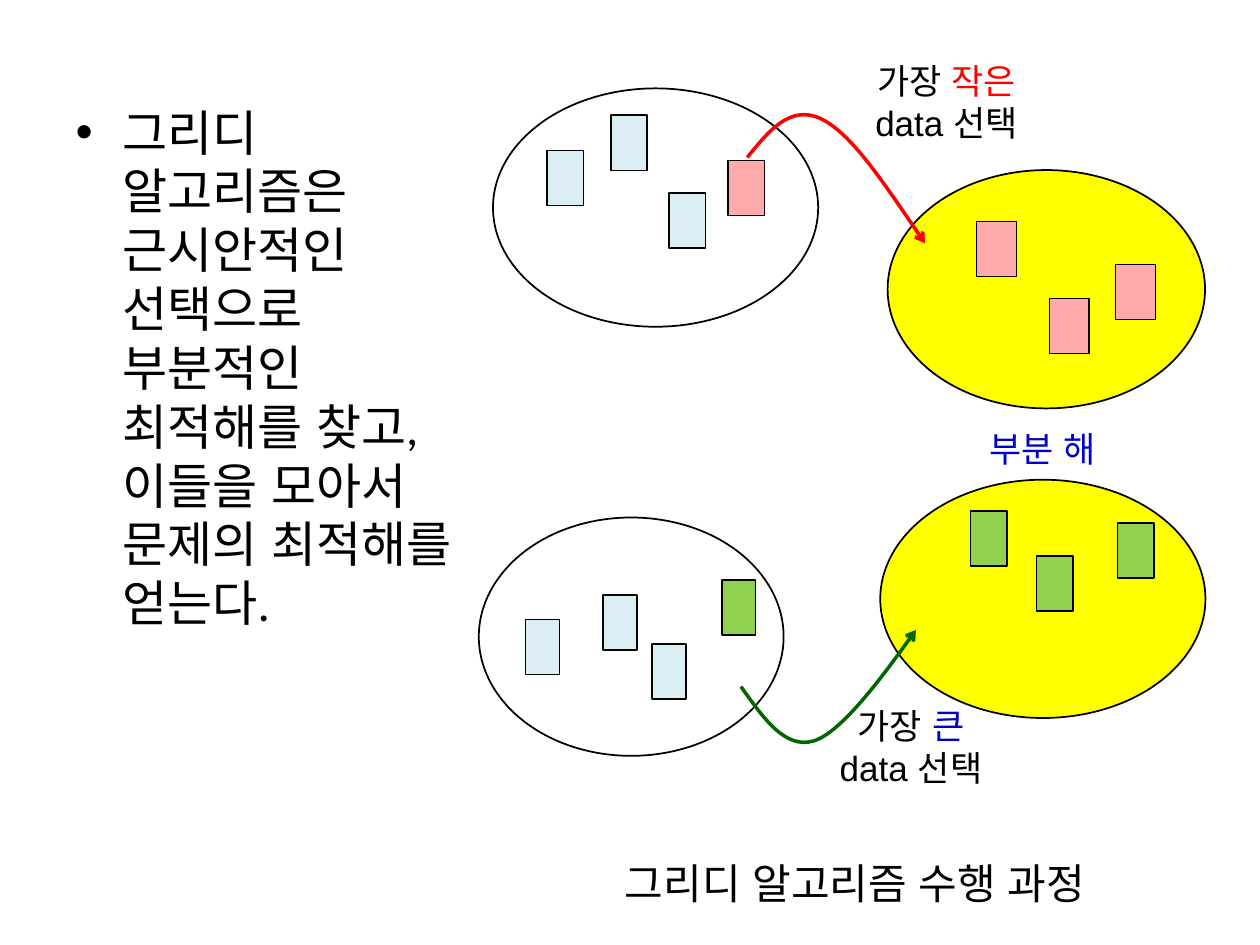
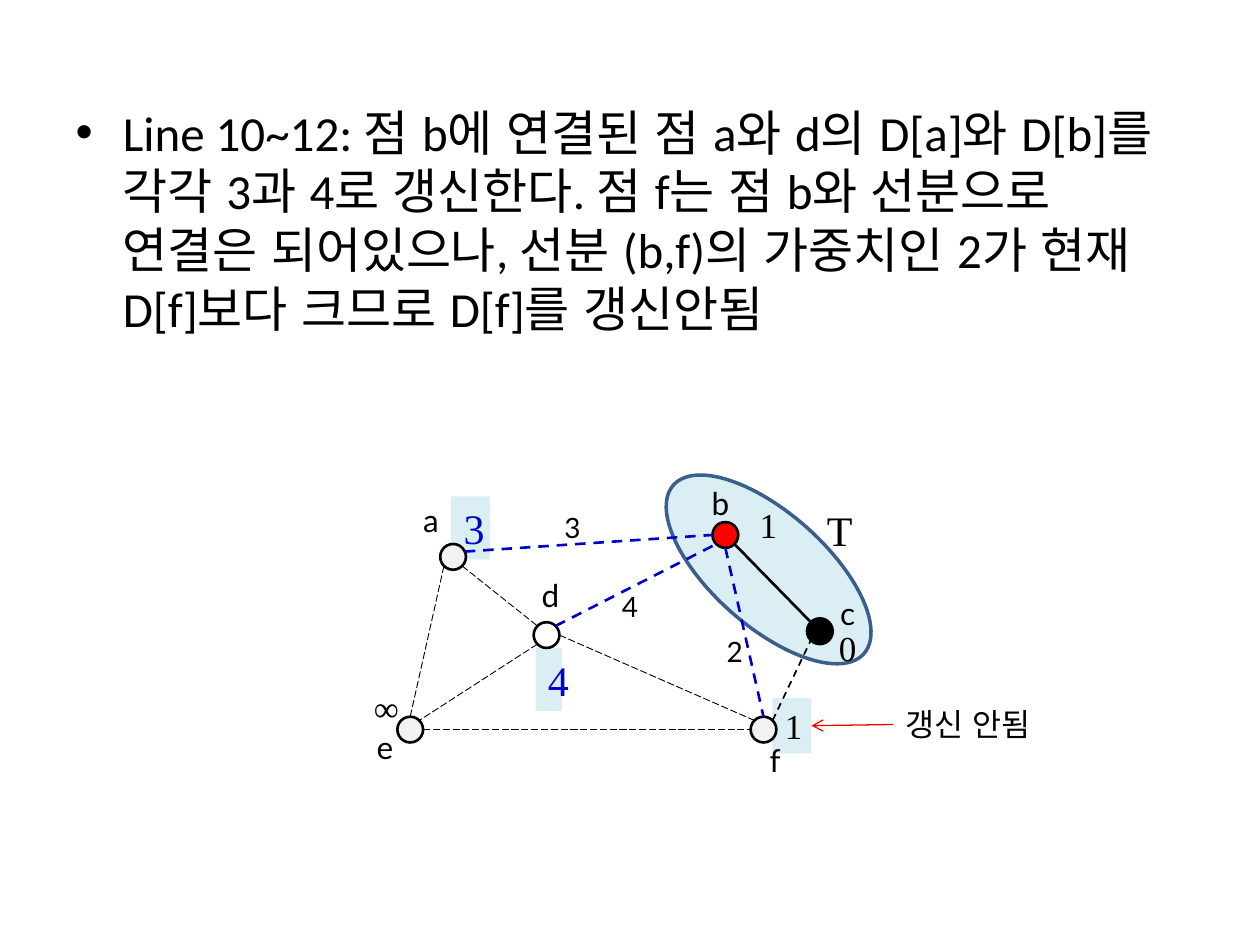
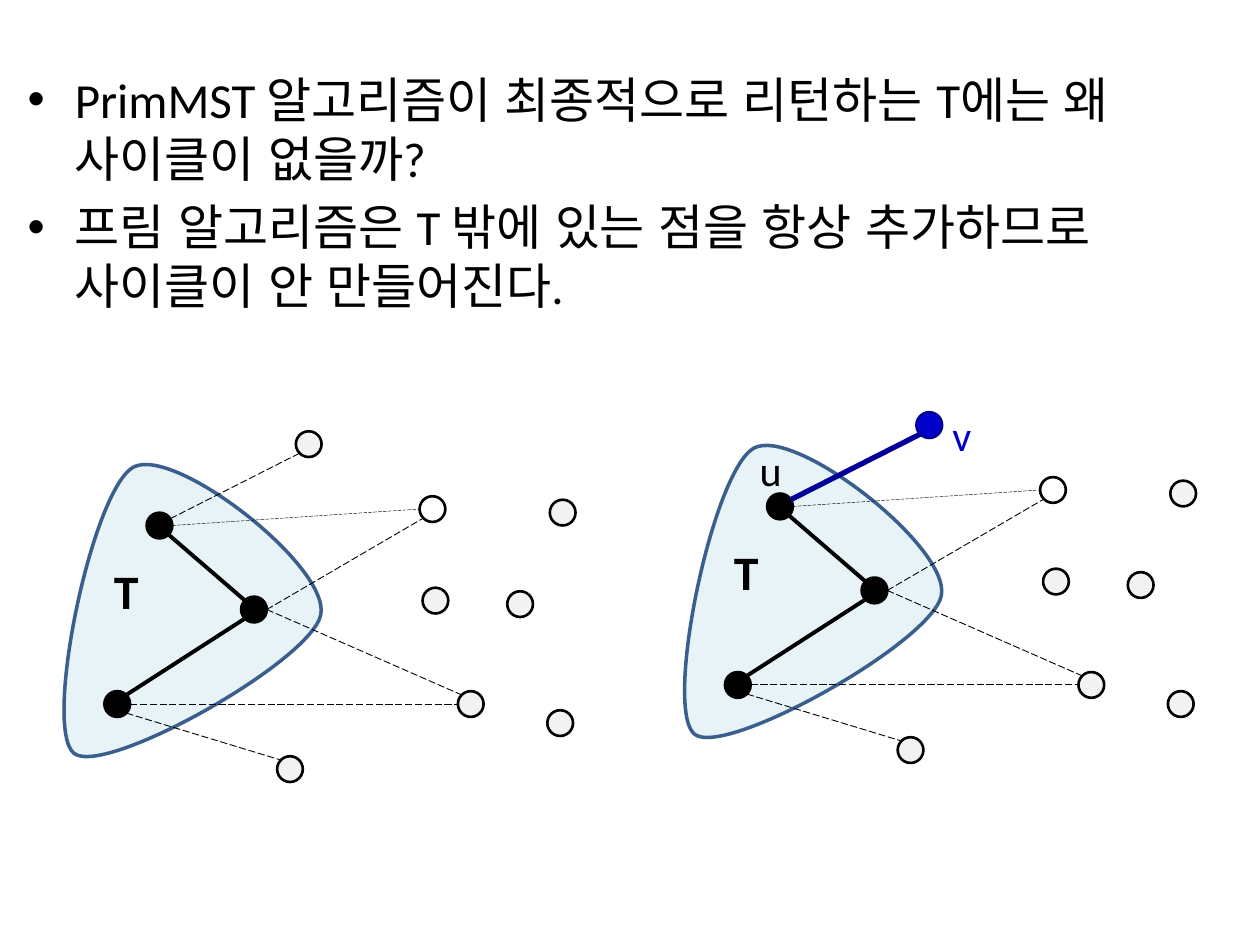
import math
from dataclasses import dataclass

from pptx import Presentation
from pptx.dml.color import RGBColor
from pptx.enum.dml import MSO_LINE
from pptx.enum.shapes import MSO_CONNECTOR, MSO_SHAPE
from pptx.enum.text import PP_ALIGN
from pptx.oxml.ns import qn
from pptx.util import Pt
from lxml import etree

OVAL, RECTANGLE = MSO_SHAPE.OVAL, MSO_SHAPE.RECTANGLE
STRAIGHT = MSO_CONNECTOR.STRAIGHT
DASH, LONG_DASH = MSO_LINE.DASH, MSO_LINE.LONG_DASH
LEFT, CENTER = PP_ALIGN.LEFT, PP_ALIGN.CENTER
BULLET_LAYOUT = 1

# Directions on a node's rim, in degrees anticlockwise from the right
E, NE, N, NW, W, SW, S, SE = range(0, 360, 45)


@dataclass(frozen=True)
class Theme:
    black: str = "000000"
    white: str = "FFFFFF"
    gray: str = "F2F2F2"
    blue: str = "0000CC"
    navy: str = "000099"
    red: str = "FF0000"
    green: str = "92D050"
    dark_green: str = "006600"
    yellow: str = "FFFF00"
    pink: str = "FFABAB"
    pale_blue: str = "DBEEF4"
    outline: str = "3A5F8C"
    body_font: str = "Calibri"
    diagram_font: str = "Arial"
    korean_font: str = "Arial"
    node_font: str = "Lato"
    value_font: str = "Times New Roman"
    tree_font: str = "Noto Sans CJK KR"
    body_size: float = 28
    large: float = 24
    medium: float = 20
    small: float = 18
    tiny: float = 16
    node_diameter: float = 14.7
    card_height: float = 31.5
    oval_height: float = 136.2


THEME = Theme()


def curve_points(start, segments, steps=24):
    """Return points along a chain of cubic curves (control, control, end)."""
    points = [start]
    for control_1, control_2, end in segments:
        for step in range(1, steps + 1):
            t = step / steps
            weights = ((1 - t) ** 3, 3 * t * (1 - t) ** 2, 3 * t * t * (1 - t), t ** 3)
            corners = (start, control_1, control_2, end)
            points.append(tuple(sum(w * corner[axis] for w, corner in zip(weights, corners))
                                for axis in (0, 1)))
        start = end
    return points


def rim_point(center, angle):
    radius, radians = THEME.node_diameter / 2, math.radians(angle)
    return center[0] + radius * math.cos(radians), center[1] - radius * math.sin(radians)


class Deck:
    def __init__(self, theme):
        self.theme = theme
        self.presentation = Presentation()
        self.presentation.slide_width = Pt(720)
        self.presentation.slide_height = Pt(540)
        self.slide = None

    def add_slide(self, bullets, left, top, width, height):
        layout = self.presentation.slide_layouts[BULLET_LAYOUT]
        self.slide = self.presentation.slides.add_slide(layout)
        title = self.slide.shapes.title.element
        title.getparent().remove(title)
        body = self.slide.placeholders[1]
        body.left, body.top, body.width, body.height = map(Pt, (left, top, width, height))
        body.text_frame.text = "\n".join(bullets)
        for paragraph in body.text_frame.paragraphs:
            self.style_font(paragraph.font, self.theme.body_size,
                            self.theme.body_font, self.theme.black)

    def style_font(self, font, size, name, color, bold=False):
        font.size, font.name, font.bold = Pt(size), name, bold
        font.color.rgb = RGBColor.from_string(color)
        etree.SubElement(font._rPr, qn("a:ea"), typeface=self.theme.korean_font)

    def style_line(self, line, color, weight, dash=None):
        line.color.rgb = RGBColor.from_string(color)
        line.width = Pt(weight)
        if dash:
            line.dash_style = dash

    def style_shape(self, shape, fill, line, weight):
        shape.shadow.inherit = False
        if fill:
            shape.fill.solid()
            shape.fill.fore_color.rgb = RGBColor.from_string(fill)
        else:
            shape.fill.background()
        if line:
            self.style_line(shape.line, line, weight)
        else:
            shape.line.fill.background()

    def add_arrowhead(self, line):
        etree.SubElement(line._get_or_add_ln(), qn("a:tailEnd"), type="arrow")

    def shape(self, kind, left, top, width, height, fill=None, line=None, weight=1, rotation=0):
        shape = self.slide.shapes.add_shape(kind, Pt(left), Pt(top), Pt(width), Pt(height))
        self.style_shape(shape, fill, line, weight)
        shape.rotation = rotation
        return shape

    def fill_text(self, shape, text, size, font, color, align, bold=False, wrap=True):
        frame = shape.text_frame
        frame.word_wrap = wrap
        frame.text = text
        paragraph = frame.paragraphs[0]
        paragraph.alignment = align
        self.style_font(paragraph.font, size, font, color, bold)

    def text(self, text, left, top, width, height, size, font, color=THEME.black,
             align=CENTER, bold=False, wrap=True):
        box = self.slide.shapes.add_textbox(Pt(left), Pt(top), Pt(width), Pt(height))
        self.fill_text(box, text, size, font, color, align, bold, wrap)
        return box

    def highlighted_value(self, text, left, top, width, height, size, color):
        shape = self.shape(RECTANGLE, left, top, width, height, self.theme.pale_blue)
        self.fill_text(shape, text, size, self.theme.value_font, color, CENTER)

    def choice_label(self, word, color, left, top):
        box = self.text("가장 ", left, top, 118.8, 55.4,
                        self.theme.medium, self.theme.diagram_font)
        first = box.text_frame.paragraphs[0]
        run = first.add_run()
        run.text = word
        run.font.color.rgb = RGBColor.from_string(color)
        second = box.text_frame.add_paragraph()
        second.text = "data 선택"
        second.alignment = CENTER
        self.style_font(second.font, self.theme.medium, self.theme.diagram_font, self.theme.black)

    def data_set(self, left, top, width, fill, cards, card_width, card_weight=1):
        """Draw an oval holding cards given as (left, top, colour)."""
        theme = self.theme
        self.shape(OVAL, left, top, width, theme.oval_height, fill, theme.black)
        for card_left, card_top, color in cards:
            self.shape(RECTANGLE, card_left, card_top, card_width, theme.card_height,
                       color, theme.black, card_weight)

    def node(self, center, fill, line=THEME.black):
        diameter = self.theme.node_diameter
        self.shape(OVAL, center[0] - diameter / 2, center[1] - diameter / 2,
                   diameter, diameter, fill, line, 1.5)

    def line(self, start, end, color=THEME.black, weight=0.5, dash=None, arrow=False):
        connector = self.slide.shapes.add_connector(STRAIGHT, *map(Pt, (*start, *end)))
        self.style_line(connector.line, color, weight, dash)
        if arrow:
            self.add_arrowhead(connector.line)
        etree.SubElement(connector._element.spPr, qn("a:effectLst"))

    def edge(self, start, start_angle, end, end_angle, color=THEME.black, weight=0.5,
             dash=LONG_DASH):
        self.line(rim_point(start, start_angle), rim_point(end, end_angle), color, weight, dash)

    def curve(self, start, segments, color, fill=None, opacity=None, arrow=False):
        """Size a freeform to the curve, then give it cubic segments."""
        points = [(Pt(x), Pt(y)) for x, y in curve_points(start, segments)]
        builder = self.slide.shapes.build_freeform(*points[0])
        builder.add_line_segments(points[1:], close=False)
        shape = builder.convert_to_shape()
        outline = next(shape._element.iter(qn("a:path")))
        for straight in outline.findall(qn("a:lnTo")):
            outline.remove(straight)
        for segment in segments:
            cubic = etree.SubElement(outline, qn("a:cubicBezTo"))
            for x, y in segment:
                etree.SubElement(cubic, qn("a:pt"), x=str(Pt(x) - shape.left),
                                 y=str(Pt(y) - shape.top))
        if fill:
            etree.SubElement(outline, qn("a:close"))
        self.style_shape(shape, fill, color, 2)
        if opacity:
            color_element = shape._element.spPr.find(qn("a:solidFill"))[0]
            etree.SubElement(color_element, qn("a:alpha"), val=str(opacity * 1000))
        if arrow:
            self.add_arrowhead(shape.line)


def build_greedy_slide(deck):
    theme = deck.theme
    deck.add_slide(["그리디 알고리즘은 근시안적인 선택으로 부분적인 최적해를 찾고, "
                    "이들을 모아서 문제의 최적해를 얻는다."], 36, 54.7, 245.5, 427.7)
    deck.text("그리디 알고리즘 수행 과정", 335.5, 486.7, 306, 36, theme.large, theme.diagram_font)

    blue, green, pink = theme.pale_blue, theme.green, theme.pink
    deck.data_set(273.6, 295.7, 174.2, None,
                  [(300.4, 354, blue), (372.7, 367.9, blue),
                   (344.5, 340, blue), (412.4, 331.5, green)], 19.4)
    deck.data_set(503, 274.1, 185.8, theme.yellow,
                  [(554.5, 292.1, green), (592.3, 317.7, green), (638.6, 298.9, green)], 20.9)
    deck.choice_label("큰", theme.blue, 461.2, 398.9)
    deck.text("부분 해", 524.9, 241, 141.8, 31.7, theme.medium, theme.diagram_font, theme.blue)
    deck.data_set(507.2, 97.2, 181.4, theme.yellow,
                  [(637.5, 151.2, pink), (558, 126.5, pink), (599.6, 170.5, pink)], 22.7, 0.75)
    deck.data_set(281.7, 50.5, 185.8, None,
                  [(416, 91.7, pink), (382.3, 110.2, blue),
                   (349, 65.9, blue), (312.6, 86, blue)], 20.9)
    deck.choice_label("작은", theme.red, 481.5, 30.2)

    deck.curve((423.4, 392.4), [((436.3, 410.4), (448.6, 428.4), (465.1, 423.4)),
                                ((481.7, 418.3), (514.1, 373), (523.4, 360))],
               theme.dark_green, arrow=True)
    deck.curve((427, 90), [((439.2, 74.9), (451.4, 59.8), (468.7, 67.7)),
                           ((486, 75.6), (506.9, 107.3), (528.5, 139))],
               theme.red, arrow=True)


def build_update_slide(deck):
    theme = deck.theme
    deck.add_slide(["Line 10~12: 점 b에 연결된 점 a와 d의 D[a]와 D[b]를 각각 3과 4로 갱신한다. "
                    "점 f는 점 b와 선분으로 연결은 되어있으나, 선분 (b,f)의 가중치인 2가 현재 "
                    "D[f]보다 크므로 D[f]를 갱신안됨"], 36, 54.7, 648, 427.7)

    deck.highlighted_value("3", 257.8, 283.7, 22.3, 36, theme.large, theme.blue)
    deck.shape(OVAL, 366.5, 293, 145.4, 64.8, theme.pale_blue, theme.outline, 2, 41.5)
    deck.highlighted_value("1", 441.4, 398.9, 22.3, 31.7, theme.medium, theme.black)
    deck.highlighted_value("4", 306, 370.3, 15.1, 36, theme.large, theme.blue)

    a, b, c = (258.9, 318.2), (414.5, 305.7), (468.5, 360.7)
    d, e, f = (312.3, 362.9), (234.4, 416.9), (436.3, 416.9)
    for center, fill in ((a, theme.gray), (b, theme.red), (c, theme.black),
                         (d, theme.white), (e, theme.gray), (f, theme.gray)):
        deck.node(center, fill)
    for ends in ((d, SW, e, NE), (a, SW, e, N), (d, E, f, NW), (e, E, f, W), (a, SE, d, NW)):
        deck.edge(*ends)
    for ends in ((a, 24, b, W), (d, NE, b, SW), (b, S, f, N)):
        deck.edge(*ends, theme.blue, 1.5, DASH)
    deck.edge(c, NW, b, SE, weight=1.5, dash=None)
    deck.edge(f, NE, c, SW, weight=1, dash=DASH)

    for name, left, top in (("a", 234.7, 283), ("b", 399.6, 272.9), ("c", 473, 336.2),
                            ("d", 302.4, 325.4), ("e", 208.1, 412.6), ("f", 432.7, 419.8)):
        deck.text(name, left, top, 24.5, 28.8, theme.small, theme.node_font,
                  align=LEFT, wrap=False)
    for weight, left, top in (("3", 315.4, 288), ("4", 348.2, 333.2), ("2", 408.2, 359.3)):
        deck.text(weight, left, top, 23, 26.6, theme.tiny, theme.node_font,
                  align=LEFT, wrap=False)
    for distance, left, top in (("0", 472.3, 354.2), ("∞", 206.6, 388.8), ("1", 427, 284.4)):
        deck.text(distance, left, top, 22.3, 31.7, theme.medium, theme.value_font)

    deck.text("T", 460.1, 285, 39.6, 36, theme.large, theme.value_font)
    deck.text("갱신 안됨", 510.5, 399.6, 124.6, 28.8, theme.small, theme.body_font, align=LEFT)
    deck.line((510.5, 414), (463.7, 414.7), theme.red, 0.75, arrow=True)


def draw_tree(deck, shift_x, shift_y, adding_v):
    """Draw tree T and the points outside it; adding_v marks the new point and edge."""
    theme = deck.theme

    def at(x, y):
        return x + shift_x, y + shift_y

    deck.curve(at(42.3, 430.5),
               [(at(24.3, 416.1), at(52.4, 280.7), at(76.1, 267)),
                (at(99.5, 254.1), at(188.8, 323.9), at(183.3, 351.3)),
                (at(177.7, 377.9), at(59.9, 444.1), at(42.3, 430.5))],
               theme.outline, theme.pale_blue, 66)

    top, middle, low = at(91.1, 300.3), at(145.1, 348.3), at(67, 402.3)
    upper, lower, bottom = at(247.1, 290.9), at(269, 402.3), at(165.7, 439.5)
    v = at(176.4, 253.8)
    loose = at(297.2, 345.2), at(320.1, 413.2), at(248.8, 343.2), at(321.5, 292.9)
    for center in (top, middle, low):
        deck.node(center, theme.black)
    deck.node(upper, theme.white)
    for center in (lower, bottom, *loose):
        deck.node(center, theme.gray)

    deck.edge(top, SE, middle, NW, weight=2.25, dash=None)
    deck.edge(middle, SW, low, NE, weight=2.25, dash=None)
    deck.edge(top, E, upper, W, weight=0.25)
    for ends in ((middle, E, lower, NW), (low, E, lower, W),
                 (low, SE, bottom, NW), (middle, E, upper, SW)):
        deck.edge(*ends)
    if adding_v:
        deck.edge(top, 32, v, SW, theme.navy, 3, None)
        deck.node(v, theme.blue, theme.navy)
    else:
        deck.edge(top, 32, v, SW)
        deck.node(v, theme.gray)
    deck.text("T", *at(41, 321), 62.6, 36, theme.large, theme.tree_font, bold=True)


def build_cycle_slide(deck):
    theme = deck.theme
    deck.add_slide(["PrimMST 알고리즘이 최종적으로 리턴하는 T에는 왜 사이클이 없을까?",
                    "프림 알고리즘은 T 밖에 있는 점을 항상 추가하므로 사이클이 안 만들어진다."],
                   8.6, 36, 691.9, 277.9)
    draw_tree(deck, 0, 0, adding_v=False)
    draw_tree(deck, 354.6, -10.9, adding_v=True)
    for name, left, top, color in (("u", 427, 250.6, theme.black), ("v", 537.1, 230.4, theme.blue)):
        deck.text(name, left, top, 23.8, 36, theme.large, theme.body_font, color, LEFT)


def main():
    deck = Deck(THEME)
    build_greedy_slide(deck)
    build_update_slide(deck)
    build_cycle_slide(deck)
    deck.presentation.save("out.pptx")


if __name__ == "__main__":
    main()
